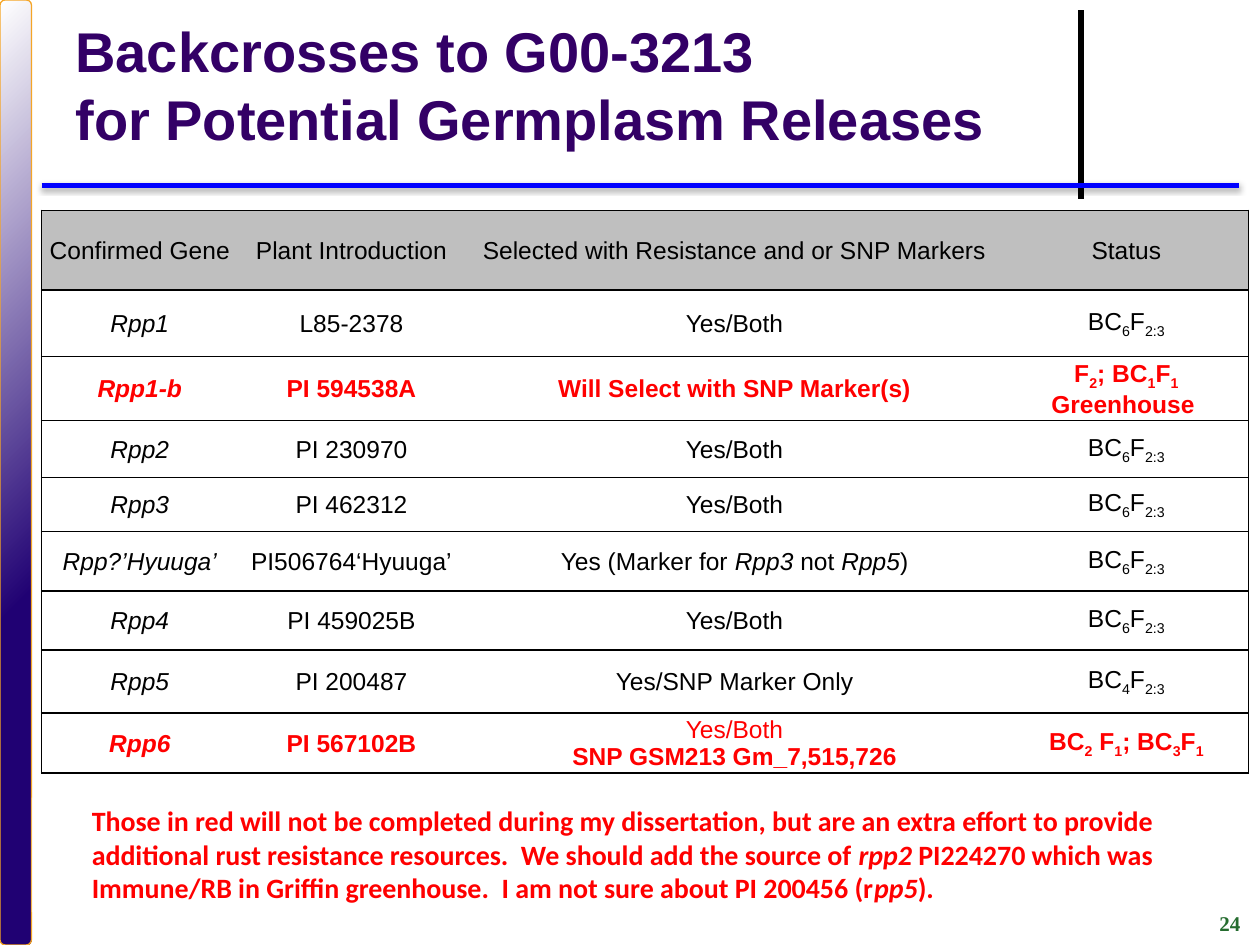
from lxml import etree
from pptx import Presentation, util as u
from pptx.dml.color import RGBColor
from pptx.enum import shapes, text
from pptx.oxml import parse_xml

NAMESPACE = 'xmlns:a="http://schemas.openxmlformats.org/drawingml/2006/main"'
BLACK, RED, WHITE = "000000", "FF0000", "FFFFFF"
color = RGBColor.from_string


def add_runs(paragraph, markup, size, name, hex_color, bold=False):
    """Add runs from markup: *italic* and ~subscript~."""
    for i, part in enumerate(markup.split("*")):
        for j, piece in enumerate(part.split("~")):
            if not piece:
                continue
            run = paragraph.add_run()
            run.text = piece
            run.font.size = u.Pt(size)
            run.font.name = name
            run.font.bold = bold
            run.font.italic = i % 2 == 1
            run.font.color.rgb = color(hex_color)
            if j % 2:
                run._r.get_or_add_rPr().set("baseline", "-25000")


def add_line(x1, y1, x2, y2, hex_color, effects=""):
    line = slide.shapes.add_connector(
        shapes.MSO_CONNECTOR.STRAIGHT,
        u.Inches(x1), u.Inches(y1), u.Inches(x2), u.Inches(y2))
    line.line.color.rgb = color(hex_color)
    line.line.width = u.Pt(3)
    line._element.spPr.append(
        parse_xml(f"<a:effectLst {NAMESPACE}>{effects}</a:effectLst>"))


presentation = Presentation()
presentation.slide_width = u.Inches(10)
presentation.slide_height = u.Inches(7.5)
slide = presentation.slides.add_slide(presentation.slide_layouts[6])

# Vertical rule and page number
add_line(8.58, 0.08, 8.58, 1.58, BLACK)
number_box = slide.shapes.add_textbox(
    u.Inches(9.58), u.Inches(7.2), u.Inches(0.42), u.Inches(0.3))
paragraph = number_box.text_frame.paragraphs[0]
paragraph.line_spacing = 0.9
add_runs(paragraph, "24", 12, "Times New Roman", "256C2F", True)

# Blue rule with a soft shadow
add_line(0.33, 1.47, 9.83, 1.47, "0000FF",
         '<a:outerShdw blurRad="39370" dist="20320" dir="5400000" rotWithShape="0">'
         '<a:srgbClr val="000000"><a:alpha val="38000"/></a:srgbClr></a:outerShdw>')

# Gradient bar on the left edge
bar = slide.shapes.add_shape(
    shapes.MSO_SHAPE.ROUNDED_RECTANGLE, 0, 0, u.Inches(0.25), u.Inches(7.5))
bar.shadow.inherit = False
bar.line.color.rgb = color("F5A526")
bar.line.width = u.Pt(0.75)
stops = "".join(
    f'<a:gs pos="{position}000"><a:srgbClr val="{hex_color}"/></a:gs>'
    for position, hex_color in [(26, "200173"), (36, "200173"), (100, WHITE)])
bar._element.spPr.prstGeom.addnext(parse_xml(
    f'<a:gradFill {NAMESPACE} rotWithShape="1"><a:gsLst>{stops}</a:gsLst>'
    '<a:path path="circle"><a:fillToRect l="100000" t="100000"/></a:path></a:gradFill>'))

# Title
title = slide.shapes.add_textbox(
    u.Inches(0.5), u.Inches(0.25), u.Inches(7.67), u.Inches(1))
title.text_frame.word_wrap = True
title.text_frame.vertical_anchor = text.MSO_ANCHOR.BOTTOM
paragraph = title.text_frame.paragraphs[0]
add_runs(paragraph, "Backcrosses to G00-3213", 32, "Arial", "330066", True)
paragraph.add_line_break()
add_runs(paragraph, "for Potential Germplasm Releases", 32, "Arial", "330066", True)

# Gene table: one tuple per row, "\n" separates paragraphs
BC6 = "BC~6~F~2:3~"
rows = [
    ("Confirmed Gene", "Plant Introduction",
     "Selected with Resistance and or SNP Markers", "Status"),
    ("*Rpp1*", "L85-2378", "Yes/Both", BC6),
    ("*Rpp1-b*", "PI 594538A", "Will Select with SNP Marker(s)",
     "F~2~; BC~1~F~1~ Greenhouse "),
    ("*Rpp2*", "PI 230970", "Yes/Both", BC6),
    ("*Rpp3*", "PI 462312", "Yes/Both", BC6),
    ("*Rpp?’Hyuuga’*", "PI506764‘Hyuuga’", "Yes (Marker for *Rpp3 *not *Rpp5*)", BC6),
    ("*Rpp4*", "PI 459025B", "Yes/Both", BC6),
    ("*Rpp5*", "PI 200487", "Yes/SNP Marker Only", "BC~4~F~2:3~"),
    ("*Rpp6*", "PI 567102B", "Yes/Both\nSNP GSM213 Gm_7,515,726",
     "BC~2~ F~1~; BC~3~F~1~"),
]
red_rows = (2, 8)
column_widths = [1.56, 1.8, 4.28, 1.94]
row_heights = [0.63, 0.53, 0.47, 0.45, 0.43, 0.47, 0.47, 0.5, 0.42]
table = slide.shapes.add_table(
    len(rows), len(column_widths), u.Inches(0.33), u.Inches(1.67),
    u.Inches(sum(column_widths)), u.Inches(sum(row_heights))).table
table.first_row = table.horz_banding = False
for column, width in zip(table.columns, column_widths):
    column.width = u.Inches(width)
for row, height in zip(table.rows, row_heights):
    row.height = u.Inches(height)

for r, row in enumerate(rows):
    for c, content in enumerate(row):
        cell = table.cell(r, c)
        cell.margin_left = cell.margin_right = cell.margin_top = u.Inches(0.01)
        cell.margin_bottom = 0
        cell.vertical_anchor = text.MSO_ANCHOR.MIDDLE

        # Horizontal rules everywhere, vertical ones only on the outside
        visible = {"L": c == 0, "R": c == len(row) - 1, "T": True, "B": True}
        for side, shown in visible.items():
            paint = (f'<a:solidFill><a:srgbClr val="{BLACK}"/></a:solidFill>'
                     if shown else "<a:noFill/>")
            cell._tc.get_or_add_tcPr().append(parse_xml(
                f'<a:ln{side} {NAMESPACE} w="12700">{paint}</a:ln{side}>'))
        cell.fill.solid()
        cell.fill.fore_color.rgb = color(WHITE if r else "BFBFBF")

        for p, line in enumerate(content.split("\n")):
            frame = cell.text_frame
            paragraph = frame.add_paragraph() if p else frame.paragraphs[0]
            paragraph.alignment = text.PP_ALIGN.CENTER
            is_red = r in red_rows
            add_runs(paragraph, line, 14, "Arial", RED if is_red else BLACK,
                     is_red and line != "Yes/Both")

# Note below the table on a half-transparent panel
note = slide.shapes.add_shape(
    shapes.MSO_SHAPE.RECTANGLE,
    u.Inches(0.25), u.Inches(6.33), u.Inches(9.58), u.Inches(0.91))
note.shadow.inherit = False
note.line.fill.background()
note.fill.solid()
note.fill.fore_color.rgb = color(WHITE)
fill_color = note._element.spPr.find(".//{*}srgbClr")
etree.SubElement(fill_color, fill_color.tag.replace("srgbClr", "alpha"), val="50000")
note.text_frame.word_wrap = True
note.text_frame.vertical_anchor = text.MSO_ANCHOR.TOP
paragraph = note.text_frame.paragraphs[0]
paragraph.alignment = text.PP_ALIGN.LEFT
paragraph._p.get_or_add_pPr().set("marL", str(u.Inches(0.38)))
add_runs(
    paragraph,
    "Those in red will not be completed during my dissertation, but are an extra "
    "effort to provide additional rust resistance resources.  We should add the "
    "source of *rpp2 *PI224270 which was Immune/RB in Griffin greenhouse.  I am not "
    "sure about PI 200456 (r*pp5*).",
    16, "Calibri", RED, True)

presentation.save("out.pptx")
